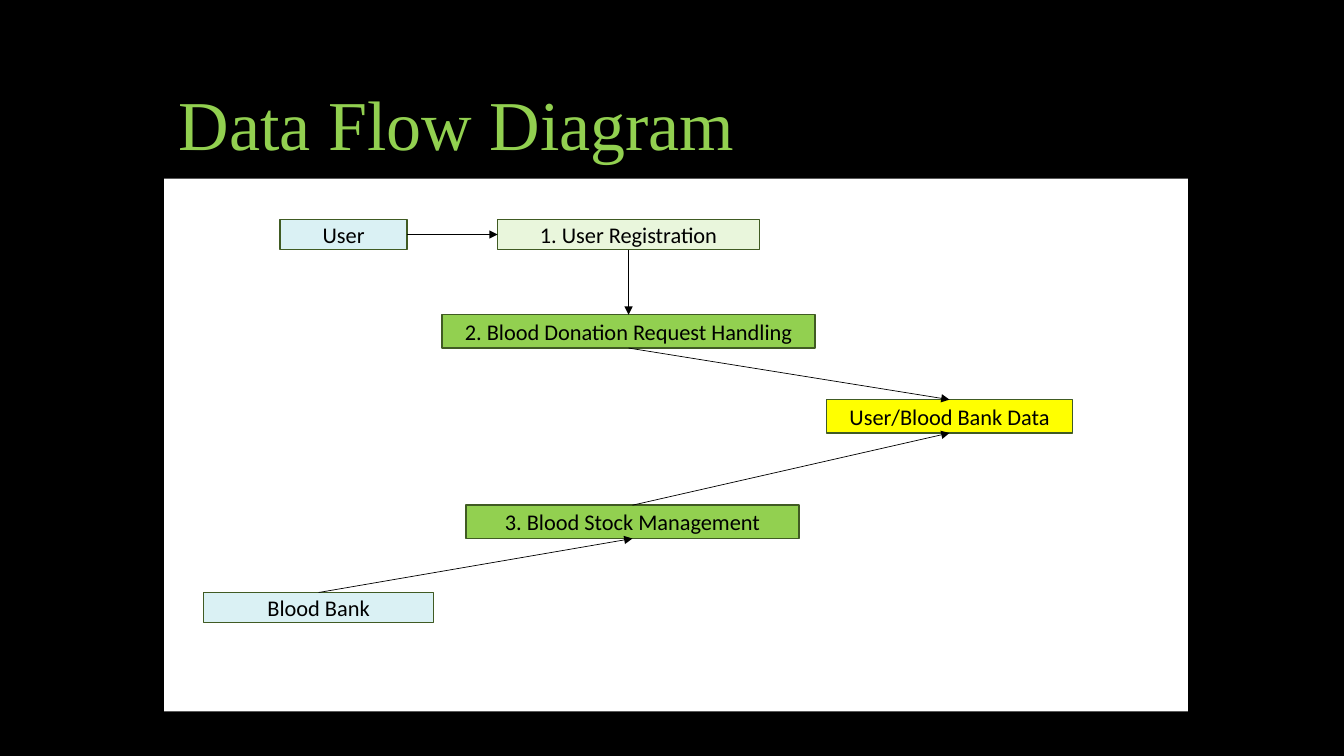
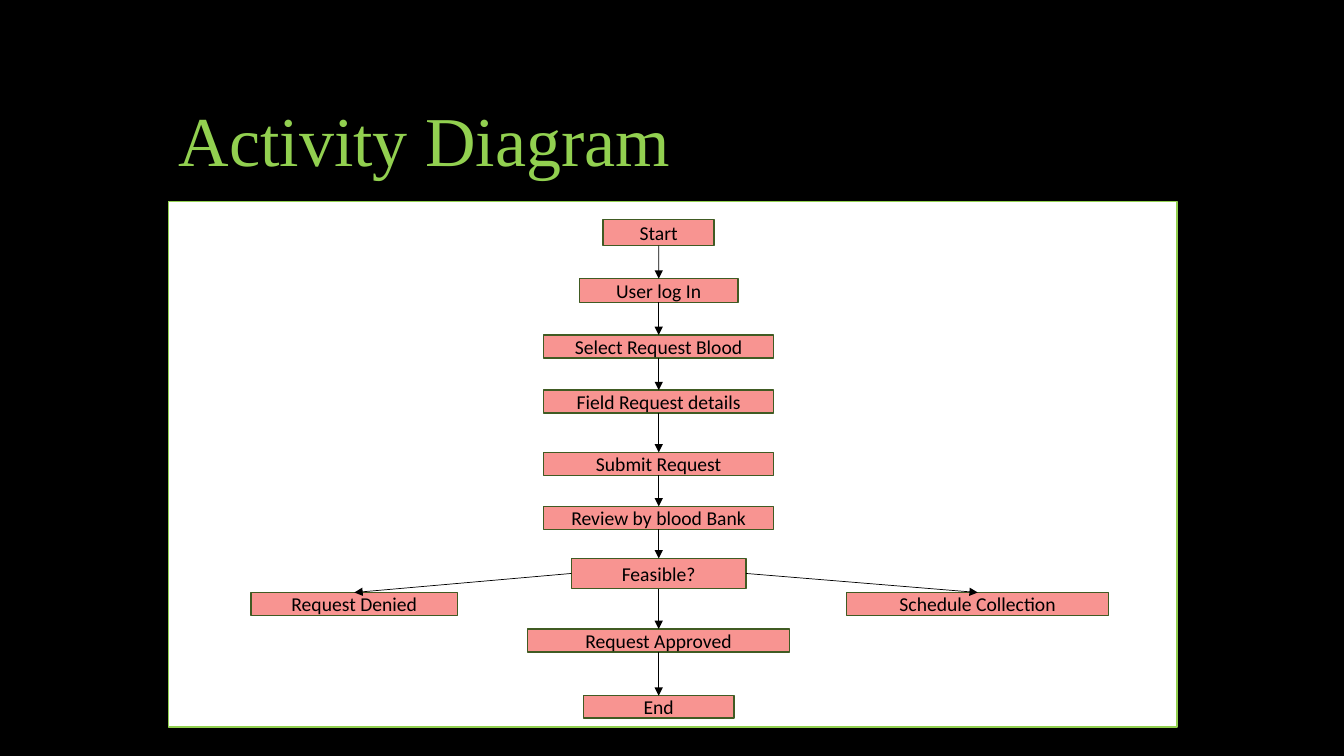
from itertools import pairwise

from pptx import Presentation
from pptx.dml.color import RGBColor
from pptx.enum.shapes import MSO_CONNECTOR, MSO_SHAPE
from pptx.enum.text import MSO_ANCHOR, MSO_AUTO_SIZE, PP_ALIGN
from pptx.oxml.ns import qn
from pptx.util import Cm, Pt
from lxml.etree import SubElement

COLOURS = {
    "background": "000000",
    "title": "92D050",
    "panel": "FFFFFF",
    "outline": "405B23",
    "text": "000000",
    "arrow": "000000",
    "entity": "DAF1F4",
    "registration": "E9F6DC",
    "process": "92D050",
    "store": "FFFF00",
    "activity": "F89491",
}
TITLE_FONT = "Times New Roman"
BODY_FONT = "Calibri"
TOP, LEFT, BOTTOM, RIGHT = range(4)


def colour(name):
    """Return the named colour of the palette."""
    return RGBColor.from_string(COLOURS[name])


def add_span(para, text, font, size, colour_name):
    """Add one formatted run to a paragraph."""
    span = para.add_run()
    span.text = text
    span.font.name = font
    span.font.size = Pt(size)
    span.font.color.rgb = colour(colour_name)


def add_page(deck, title, top, width):
    """Add a slide with its title placed and styled."""
    page = deck.slides.add_slide(deck.slide_layouts.get_by_name("Title Only"))
    box = page.shapes.title
    box.left, box.top, box.width, box.height = Cm(4.25), Cm(top), Cm(width), Cm(3.18)
    frame = box.text_frame
    frame.auto_size = MSO_AUTO_SIZE.NONE
    frame.vertical_anchor = MSO_ANCHOR.BOTTOM
    para = frame.paragraphs[0]
    para.alignment = PP_ALIGN.LEFT
    para.line_spacing = 0.9
    add_span(para, title, TITLE_FONT, 50, "title")
    return page


def add_rectangle(page, left, top, width, height, fill, outline=None):
    """Add a flat rectangle, outlined if an outline colour is given."""
    box = page.shapes.add_shape(
        MSO_SHAPE.RECTANGLE, Cm(left), Cm(top), Cm(width), Cm(height)
    )
    box.shadow.inherit = False
    box.fill.solid()
    box.fill.fore_color.rgb = colour(fill)
    if outline:
        box.line.color.rgb = colour(outline)
        box.line.width = Pt(1)
    else:
        box.line.fill.background()
    return box


def add_node(page, text, centre, top, width, height, fill, size):
    """Add a labelled diagram box centred on a horizontal position."""
    box = add_rectangle(page, centre - width / 2, top, width, height, fill, "outline")
    frame = box.text_frame
    frame.word_wrap = True
    frame.vertical_anchor = MSO_ANCHOR.MIDDLE
    para = frame.paragraphs[0]
    para.alignment = PP_ALIGN.CENTER
    add_span(para, text, BODY_FONT, size, "text")
    return box


def add_arrow(page, source, target, source_side=BOTTOM, target_side=TOP):
    """Add an arrow joined to the chosen sides of two boxes."""
    arrow = page.shapes.add_connector(MSO_CONNECTOR.STRAIGHT, 0, 0, 0, 0)
    arrow.begin_connect(source, source_side)
    arrow.end_connect(target, target_side)
    arrow.line.color.rgb = colour("arrow")
    arrow.line.width = Pt(0.5)
    line = arrow._element.spPr.find(qn("a:ln"))
    SubElement(line, qn("a:tailEnd"), type="triangle")
    SubElement(arrow._element.spPr, qn("a:effectLst"))


def build_data_flow(deck):
    """Build the data flow diagram slide."""
    page = add_page(deck, "Data Flow Diagram", 1.12, 25.4)
    add_rectangle(page, 4.14, 4.5, 25.8, 13.43, "panel")
    axis = 15.84
    nodes = [
        ("User", 8.66, 5.53, 3.2, 0.76, "entity"),
        ("1. User Registration", axis, 5.53, 6.6, 0.76, "registration"),
        ("2. Blood Donation Request Handling", axis, 7.93, 9.4, 0.84, "process"),
        ("User/Blood Bank Data", 23.93, 10.07, 6.2, 0.84, "store"),
        ("3. Blood Stock Management", 15.94, 12.73, 8.4, 0.84, "process"),
        ("Blood Bank", 8.03, 14.93, 5.8, 0.76, "entity"),
    ]
    boxes = [add_node(page, *node, size=16) for node in nodes]
    user, registration, donation, store, stock, bank = boxes
    add_arrow(page, user, registration, RIGHT, LEFT)
    add_arrow(page, registration, donation)
    add_arrow(page, donation, store)
    add_arrow(page, stock, store, TOP, BOTTOM)
    add_arrow(page, bank, stock, TOP, BOTTOM)


def build_activity(deck):
    """Build the activity diagram slide."""
    page = add_page(deck, "Activity Diagram", 1.52, 24.54)
    add_rectangle(page, 4.24, 5.08, 25.42, 13.24, "panel", "title")
    axis = 16.6
    steps = [
        ("Start", axis, 5.53, 2.8, 0.66),
        ("User log In", axis, 7.02, 4, 0.6),
        ("Select Request Blood", axis, 8.44, 5.8, 0.58),
        ("Field Request details", axis, 9.83, 5.8, 0.58),
        ("Submit Request", axis, 11.4, 5.8, 0.58),
        ("Review by blood Bank", axis, 12.76, 5.8, 0.58),
        ("Feasible?", axis, 14.07, 4.4, 0.76),
        ("Request Approved", axis, 15.85, 6.6, 0.58),
        ("End", axis, 17.53, 3.8, 0.56),
    ]
    outcomes = [
        ("Request Denied", 8.93, 14.93, 5.2, 0.58),
        ("Schedule Collection", 24.64, 14.93, 6.6, 0.58),
    ]
    flow, branches = [
        [add_node(page, *node, fill="activity", size=14) for node in nodes]
        for nodes in (steps, outcomes)
    ]
    for upper, lower in pairwise(flow):
        add_arrow(page, upper, lower)
    feasible = flow[6]
    for branch, side in zip(branches, (LEFT, RIGHT)):
        add_arrow(page, feasible, branch, side)


def main():
    """Create and save the deck."""
    deck = Presentation()
    deck.slide_width, deck.slide_height = Cm(33.87), Cm(19.05)
    backdrop = deck.slide_master.background.fill
    backdrop.solid()
    backdrop.fore_color.rgb = colour("background")
    build_data_flow(deck)
    build_activity(deck)
    deck.save("out.pptx")


if __name__ == "__main__":
    main()
